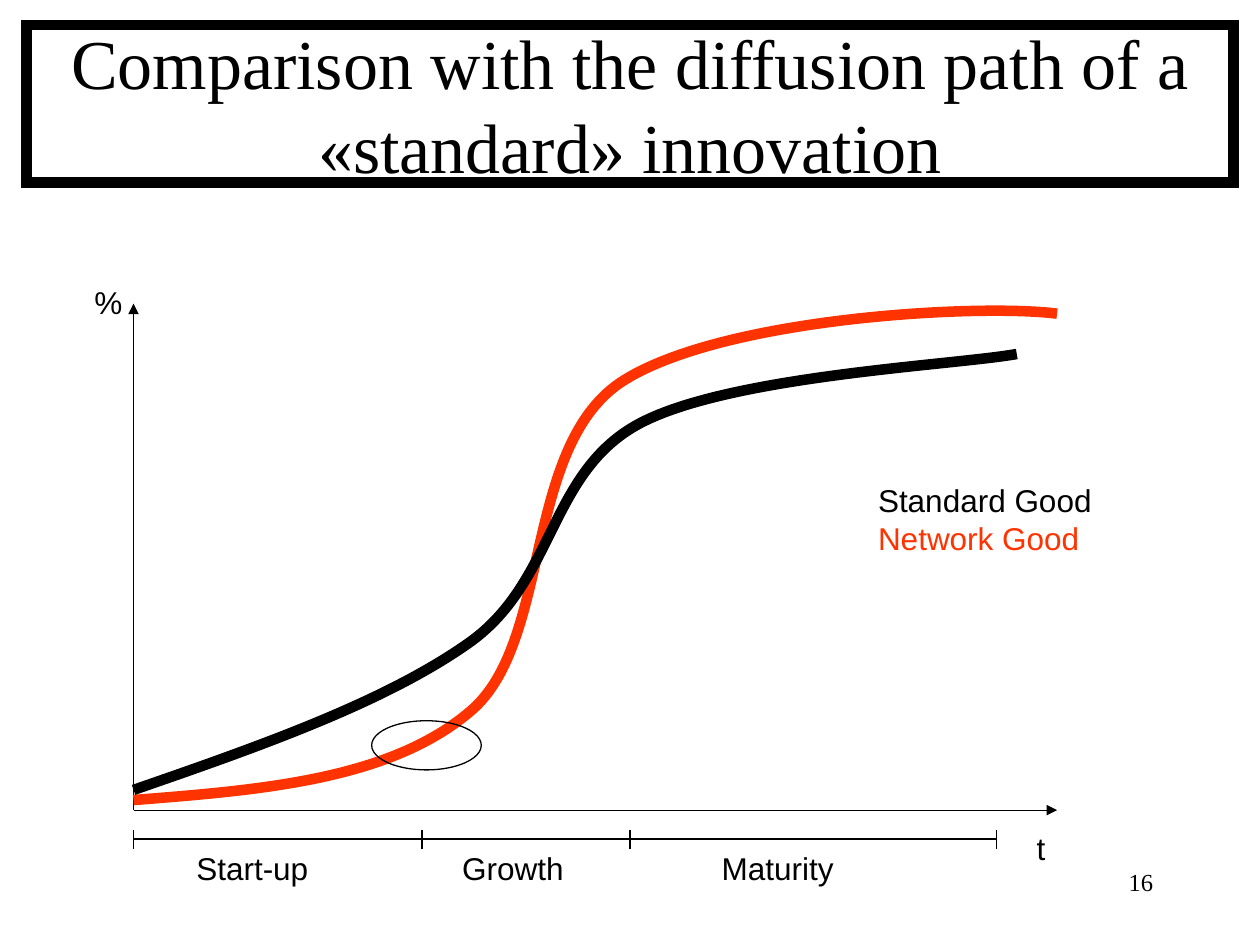
"""Build a slide comparing the diffusion of standard and network goods."""
from itertools import pairwise

from lxml.etree import SubElement
from pptx import Presentation
from pptx.dml.color import RGBColor
from pptx.enum.shapes import MSO_CONNECTOR, MSO_SHAPE
from pptx.enum.text import MSO_ANCHOR, PP_ALIGN
from pptx.oxml.ns import qn
from pptx.util import Inches, Pt

BLACK = RGBColor(0, 0, 0)
ORANGE = RGBColor(0xFF, 0x33, 0x00)
SERIF = "Times New Roman"
SANS = "Arial"

TITLE = "Comparison with the diffusion path of a «standard» innovation"
PAGE_NUMBER = "16"
LEGEND = [("Standard Good", BLACK), ("Network Good", ORANGE)]
LABELS = [
    ("%", (0.65, 2.2, 0.42, 0.4)),
    ("t", (8.13, 6.53, 0.27, 0.4)),
    ("Start-up", (1.46, 6.69, 1.09, 0.4)),
    ("Growth", (3.57, 6.69, 1.02, 0.4)),
    ("Maturity", (5.63, 6.69, 1.1, 0.4)),
]
ORIGIN = (1.06, 6.43)
AXIS_ENDS = [(1.06, 2.41), (8.39, 6.43)]
PHASE_LIMITS = [1.06, 3.35, 5, 7.91]
PHASE_Y = 6.66
TICK_TOP, TICK_BOTTOM = 6.59, 6.74
CURVES = [
    (ORANGE, [(1.06, 6.35), (2.08, 6.27), (3.1, 6.19), (3.74, 5.64), (4.38, 5.09),
              (4.15, 3.57), (4.92, 3.04), (5.7, 2.52), (7.77, 2.41), (8.39, 2.49)]),
    (BLACK, [(1.06, 6.27), (2.07, 5.92), (3.07, 5.57), (3.74, 5.09), (4.41, 4.6),
             (4.36, 3.74), (5.08, 3.36), (5.8, 2.98), (7.57, 2.9), (8.07, 2.81)]),
]


def write_text(shape, lines, font=SANS, size=18, align=PP_ALIGN.LEFT,
               anchor=MSO_ANCHOR.TOP, wrap=False):
    """Fill a shape with one paragraph for each (text, color) pair."""
    frame = shape.text_frame
    frame.word_wrap = wrap
    frame.vertical_anchor = anchor
    for index, (text, color) in enumerate(lines):
        paragraph = frame.add_paragraph() if index else frame.paragraphs[0]
        paragraph.alignment = align
        run = paragraph.add_run()
        run.text = text
        run.font.name = font
        run.font.size = Pt(size)
        run.font.color.rgb = color


def add_text(slide, box, lines, **text_format):
    """Add a text box."""
    write_text(slide.shapes.add_textbox(*map(Inches, box)), lines, **text_format)


def outline(shape, color=BLACK, width=0.75):
    """Leave a shape unfilled, with a sharp-cornered outline."""
    shape.shadow.inherit = False
    shape.fill.background()
    shape.line.color.rgb = color
    shape.line.width = Pt(width)
    SubElement(shape.element.spPr.get_or_add_ln(), qn("a:miter"), lim="800000")


def add_line(slide, start, end, arrow=False):
    """Add a thin straight line, with an optional arrowhead at its end."""
    connector = slide.shapes.add_connector(
        MSO_CONNECTOR.STRAIGHT, *map(Inches, start + end))
    connector.line.color.rgb = BLACK
    connector.line.width = Pt(0.75)
    properties = connector.element.spPr
    if arrow:
        SubElement(properties.get_or_add_ln(), qn("a:tailEnd"), type="triangle")
    SubElement(properties, qn("a:effectLst"))


def add_curve(slide, controls, color):
    """Add a thick open curve, turning each three line segments into a cubic."""
    start, *points = [tuple(map(Inches, point)) for point in controls]
    builder = slide.shapes.build_freeform(*start)
    builder.add_line_segments(points, close=False)
    shape = builder.convert_to_shape()
    segments = list(shape.element.iter(qn("a:lnTo")))
    outline_path = segments[0].getparent()
    for first in range(0, len(segments), 3):
        cubic = SubElement(outline_path, qn("a:cubicBezTo"))
        for segment in segments[first:first + 3]:
            cubic.append(segment[0])
            outline_path.remove(segment)
    outline(shape, color, 6)


def main():
    presentation = Presentation()
    presentation.slide_width = Inches(10)
    presentation.slide_height = Inches(7.5)
    slide = presentation.slides.add_slide(presentation.slide_layouts[6])

    add_text(slide, (7.17, 6.83, 2.08, 0.5), [(PAGE_NUMBER, BLACK)],
             font=SERIF, size=14, align=PP_ALIGN.RIGHT, wrap=True)
    title = slide.shapes.add_shape(
        MSO_SHAPE.RECTANGLE, *map(Inches, (0.21, 0.2, 9.58, 1.25)))
    outline(title, width=6)
    write_text(title, [(TITLE, BLACK)], font=SERIF, size=40,
               align=PP_ALIGN.CENTER, anchor=MSO_ANCHOR.MIDDLE, wrap=True)

    for end in AXIS_ENDS:
        add_line(slide, ORIGIN, end, arrow=True)
    for color, controls in CURVES:
        add_curve(slide, controls, color)

    add_text(slide, (6.87, 3.77, 1.91, 0.71), LEGEND)
    for text, box in LABELS:
        add_text(slide, box, [(text, BLACK)])

    for left, right in pairwise(PHASE_LIMITS):
        add_line(slide, (left, PHASE_Y), (right, PHASE_Y))
    for limit in PHASE_LIMITS:
        add_line(slide, (limit, TICK_TOP), (limit, TICK_BOTTOM))

    ellipse = slide.shapes.add_shape(
        MSO_SHAPE.OVAL, *map(Inches, (2.95, 5.72, 0.87, 0.39)))
    outline(ellipse)

    presentation.save("out.pptx")


if __name__ == "__main__":
    main()
